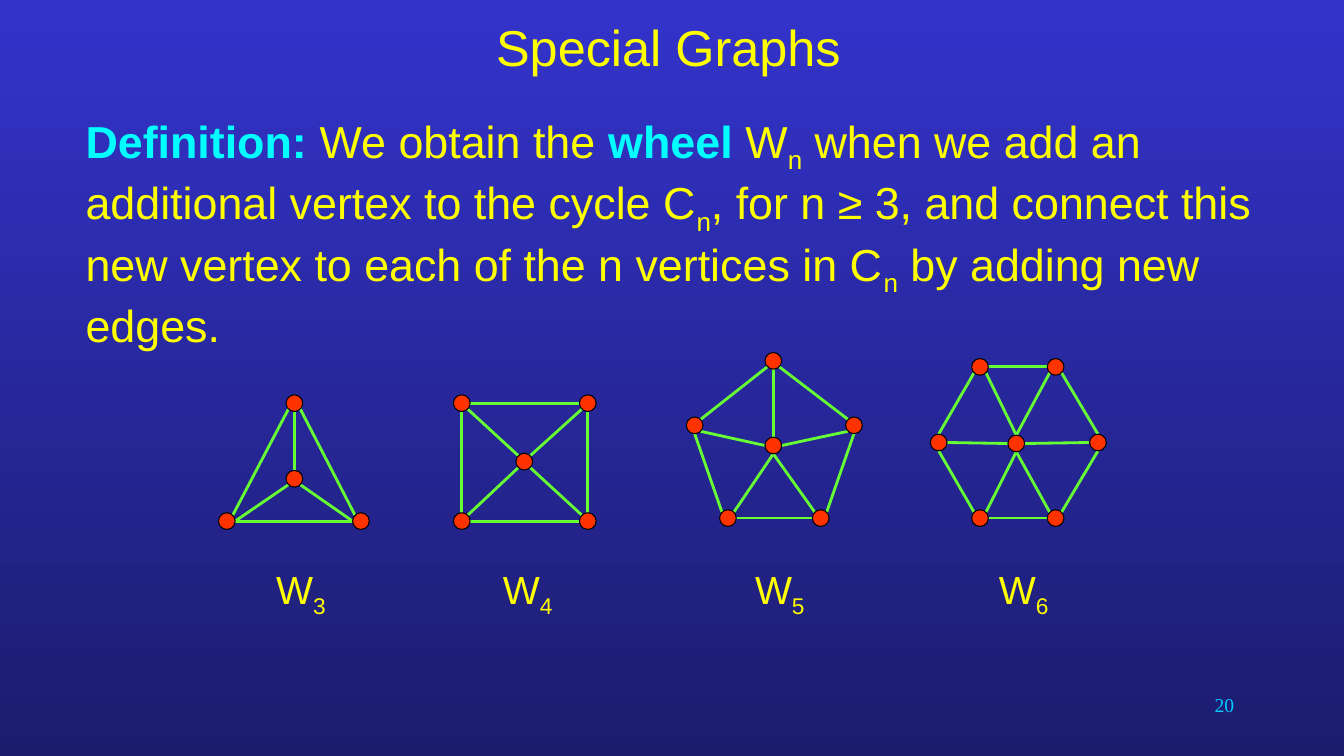
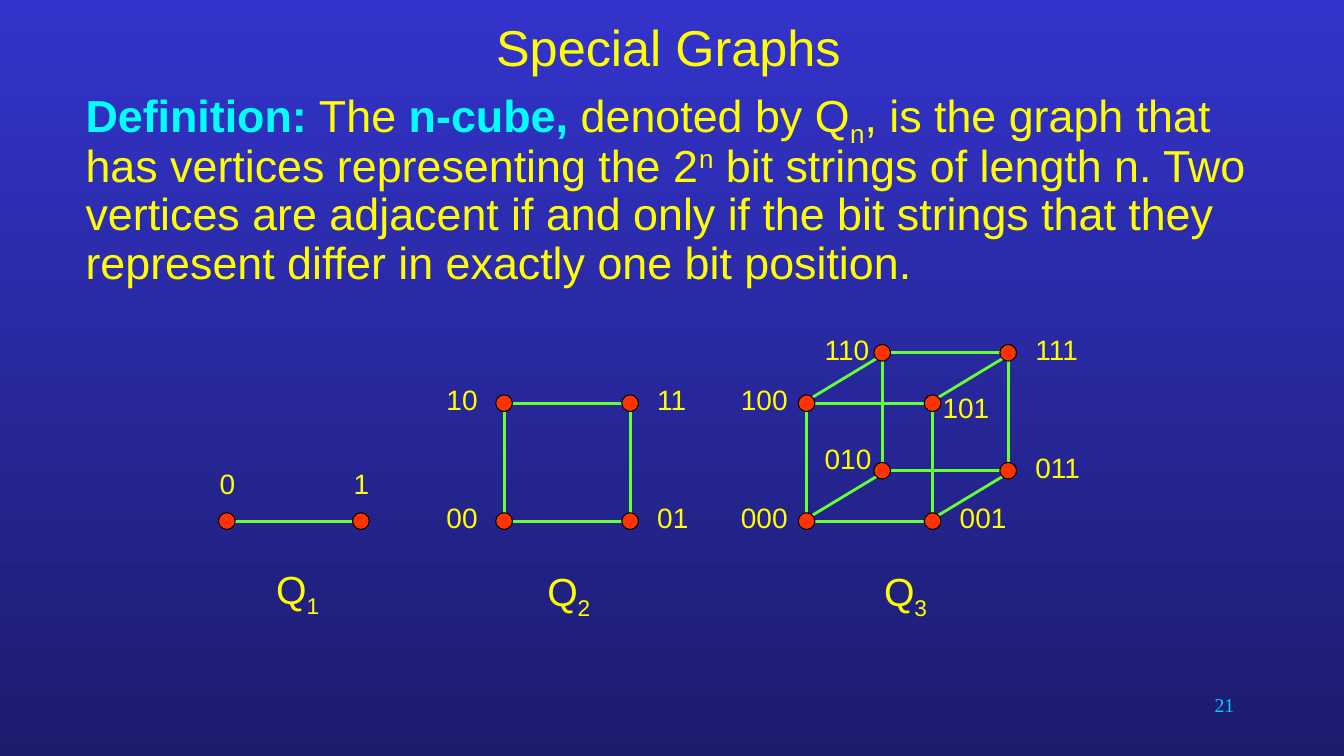
from dataclasses import dataclass
from itertools import product

from lxml import etree
from pptx import Presentation
from pptx.dml.color import RGBColor as RGB
from pptx.enum.shapes import MSO_CONNECTOR as LINE, MSO_SHAPE as SHAPE
from pptx.enum.text import MSO_ANCHOR as ANCHOR, PP_ALIGN as ALIGN
from pptx.oxml.ns import qn
from pptx.util import Inches, Pt


@dataclass(frozen=True)
class Theme:
    top: RGB = RGB.from_string("3333CC")
    bottom: RGB = RGB.from_string("1C1C6E")
    text: RGB = RGB.from_string("FFFF00")
    key: RGB = RGB.from_string("00FFFF")
    number: RGB = RGB.from_string("00CCFF")
    vertex: RGB = RGB.from_string("FF3300")
    outline: RGB = RGB.from_string("000000")
    edge: RGB = RGB.from_string("66FF33")
    font: str = "Arial"
    number_font: str = "Times New Roman"
    title_size: int = 36
    body_size: int = 32
    name_size: int = 28
    label_size: int = 20
    number_size: int = 14
    outline_width: float = 0.75
    edge_width: float = 2


T = Theme()
RADIUS = 0.083
DIAGONAL = 0.059
PORTS = {
    "N": (0, -RADIUS), "S": (0, RADIUS),
    "E": (RADIUS, 0), "W": (-RADIUS, 0),
    "NE": (DIAGONAL, -DIAGONAL), "NW": (-DIAGONAL, -DIAGONAL),
    "SE": (DIAGONAL, DIAGONAL), "SW": (-DIAGONAL, DIAGONAL),
}
BASELINES = {"sub": "-25000", "sup": "30000"}

WHEEL_TEXT = [
    ("Definition:", "key"), (" We obtain the ", ""), ("wheel ", "key"),
    ("W", ""), ("n", "sub"),
    (" when we add an additional vertex to the cycle C", ""), ("n", "sub"),
    (", for n ≥ 3, and connect this new vertex to each of the n vertices in C", ""),
    ("n", "sub"), (" by adding new edges.", ""),
]
CUBE_TEXT = [
    ("Definition:", "key"), (" The ", ""), ("n-cube, ", "key"),
    ("denoted by Q", ""), ("n", "sub"),
    (", is the graph that has vertices representing the 2", ""), ("n", "sup"),
    (" bit strings of length n. Two vertices are adjacent if and only if "
     "the bit strings that they represent differ in exactly one bit position.", ""),
]

WHEELS = [
    (2.64, [(2.25, 5.17), (3.58, 5.17), (2.92, 4), (2.92, 4.75)],
     "0NE-2SW 0E-1W 1NW-2SE 0E-3SW 1W-3SE 3N-2S"),
    (4.89, [(4.58, 5.17), (5.83, 5.17), (4.58, 4), (5.83, 4), (5.2, 4.58)],
     "0N-2S 2E-3W 3S-1N 0E-1W 0NE-4SW 4NW-2SE 4NE-3SW 4SE-1NW"),
    (7.39, [(7.22, 5.14), (8.14, 5.14), (6.89, 4.22), (8.47, 4.22),
            (7.67, 3.58), (7.67, 4.42)],
     "2S-0NW 0E-1W 1NE-3S 3NW-4SE 2NE-4SW 0NE-5S 1NW-5S 2SE-5W 5E-3SW 5N-4S"),
    (9.81, [(9.72, 5.14), (10.47, 5.14), (9.31, 4.39), (10.89, 4.39),
            (9.72, 3.64), (10.47, 3.64), (10.08, 4.4)],
     "2S-0NW 0E-1W 1NE-3S 3N-5SE 2N-4SW 4E-5W "
     "0NE-6S 1NW-6S 2E-6W 6E-3W 6N-4SE 6N-5SW"),
]

ACROSS = (1.25, 0, "E", "W")
UP = (0, -1.17, "N", "S")
BACK = (0.75, -0.5, "NE", "SW")
LEFT, RIGHT, ABOVE = (-0.67, -0.25), (0.17, -0.25), (-0.17, -0.59)
CUBES = [
    ((2.64, 5.56), 2.25, [(1.33, 0, "E", "W")], {"0": ABOVE, "1": ABOVE}),
    ((5.33, 5.58), 5, [UP, ACROSS],
     {"00": LEFT, "01": RIGHT, "10": LEFT, "11": RIGHT}),
    ((8.67, 5.58), 8, [UP, BACK, ACROSS],
     {"000": (-0.75, -0.25), "001": RIGHT, "010": (-0.67, -0.34), "011": RIGHT,
      "100": (-0.75, -0.25), "101": (0, -0.17), "110": LEFT, "111": RIGHT}),
]


def add_text(shapes, box, runs, size, align=ALIGN.LEFT, anchor=ANCHOR.TOP,
             color=T.text, font=T.font, spacing=None):
    tf = shapes.add_textbox(*map(Inches, box)).text_frame
    for name, value in {"word_wrap": True, "vertical_anchor": anchor}.items():
        setattr(tf, name, value)
    p = tf.paragraphs[0]
    for name, value in {"alignment": align, "line_spacing": spacing}.items():
        setattr(p, name, value)
    for text, style in runs:
        r = p.add_run()
        r.text = text
        look = {"name": font, "size": Pt(size), "bold": style == "key"}
        for name, value in look.items():
            setattr(r.font, name, value)
        r.font.color.rgb = T.key if style == "key" else color
        if style in BASELINES:
            r._r.get_or_add_rPr().set("baseline", BASELINES[style])


def add_edge(shapes, start, end):
    line = shapes.add_connector(LINE.STRAIGHT, *map(Inches, start + end))
    line.line.color.rgb = T.edge
    line.line.width = Pt(T.edge_width)
    etree.SubElement(line._element.spPr, qn("a:effectLst"))


def add_vertex(shapes, x, y):
    box = (x - RADIUS, y - RADIUS, 2 * RADIUS, 2 * RADIUS)
    sp = shapes.add_shape(SHAPE.FLOWCHART_CONNECTOR, *map(Inches, box))
    sp.shadow.inherit = False
    sp.fill.solid()
    sp.fill.fore_color.rgb = T.vertex
    sp.line.color.rgb = T.outline
    sp.line.width = Pt(T.outline_width)


def port_at(center, port):
    return tuple(c + d for c, d in zip(center, PORTS[port]))


def add_graph(s, vertices, edges, labels):
    shapes = s.shapes.add_group_shape().shapes
    for a, a_port, b, b_port in edges:
        add_edge(shapes, port_at(vertices[a], a_port), port_at(vertices[b], b_port))
    for x, y in vertices.values():
        add_vertex(shapes, x, y)
    for name, (dx, dy) in labels.items():
        x, y = vertices[name]
        add_text(shapes, (x + dx, y + dy, 0.75, 0.43), [(name, "")], T.label_size)


def add_name(s, x, y, letter, n):
    add_text(s.shapes, (x, y, 0.9, 0.57), [(letter, ""), (str(n), "sub")], T.name_size)


def add_wheel(s, n, name_x, centers, edge_text):
    vertices = {str(i): center for i, center in enumerate(centers)}
    edges = []
    for edge in edge_text.split():
        a, b = edge.split("-")
        edges.append((a[0], a[1:], b[0], b[1:]))
    add_graph(s, vertices, edges, {})
    add_name(s, name_x, 5.56, "W", n)


def add_cube(s, n, name_at, x, axes, labels):
    vertices, edges = {}, []
    for bits in product((0, 1), repeat=n):
        key = "".join(map(str, bits))
        vertices[key] = (x + sum(bit * axis[0] for bit, axis in zip(bits, axes)),
                         5.17 + sum(bit * axis[1] for bit, axis in zip(bits, axes)))
        for i, (_, _, start, end) in enumerate(axes):
            if not bits[i]:
                edges.append((key, start, key[:i] + "1" + key[i + 1:], end))
    add_graph(s, vertices, edges, labels)
    add_name(s, *name_at, "Q", n)


def set_background(prs):
    fill = prs.slide_master.background.fill
    fill.gradient()
    fill.gradient_angle = 270
    for stop, color in zip(fill.gradient_stops, (T.top, T.bottom)):
        stop.color.rgb = color


def add_slide(prs, number, body_box, body, spacing=None):
    s = prs.slides.add_slide(prs.slide_layouts[6])
    add_text(s.shapes, (9.56, 6.83, 2.78, 0.5), [(str(number), "")], T.number_size,
             align=ALIGN.RIGHT, color=T.number, font=T.number_font)
    add_text(s.shapes, (1.92, 0, 9.42, 0.92), [("Special Graphs", "")], T.title_size,
             align=ALIGN.CENTER, anchor=ANCHOR.MIDDLE)
    add_text(s.shapes, body_box, body, T.body_size, spacing=spacing)
    return s


def main():
    prs = Presentation()
    prs.slide_width, prs.slide_height = Inches(13.33), Inches(7.5)
    set_background(prs)

    s = add_slide(prs, 20, (0.75, 1.08, 12, 2.08), WHEEL_TEXT)
    for n, wheel in enumerate(WHEELS, start=3):
        add_wheel(s, n, *wheel)

    s = add_slide(prs, 21, (0.75, 0.83, 11.92, 2.42), CUBE_TEXT, spacing=0.9)
    for n, cube in enumerate(CUBES, start=1):
        add_cube(s, n, *cube)

    prs.save("out.pptx")


if __name__ == "__main__":
    main()
